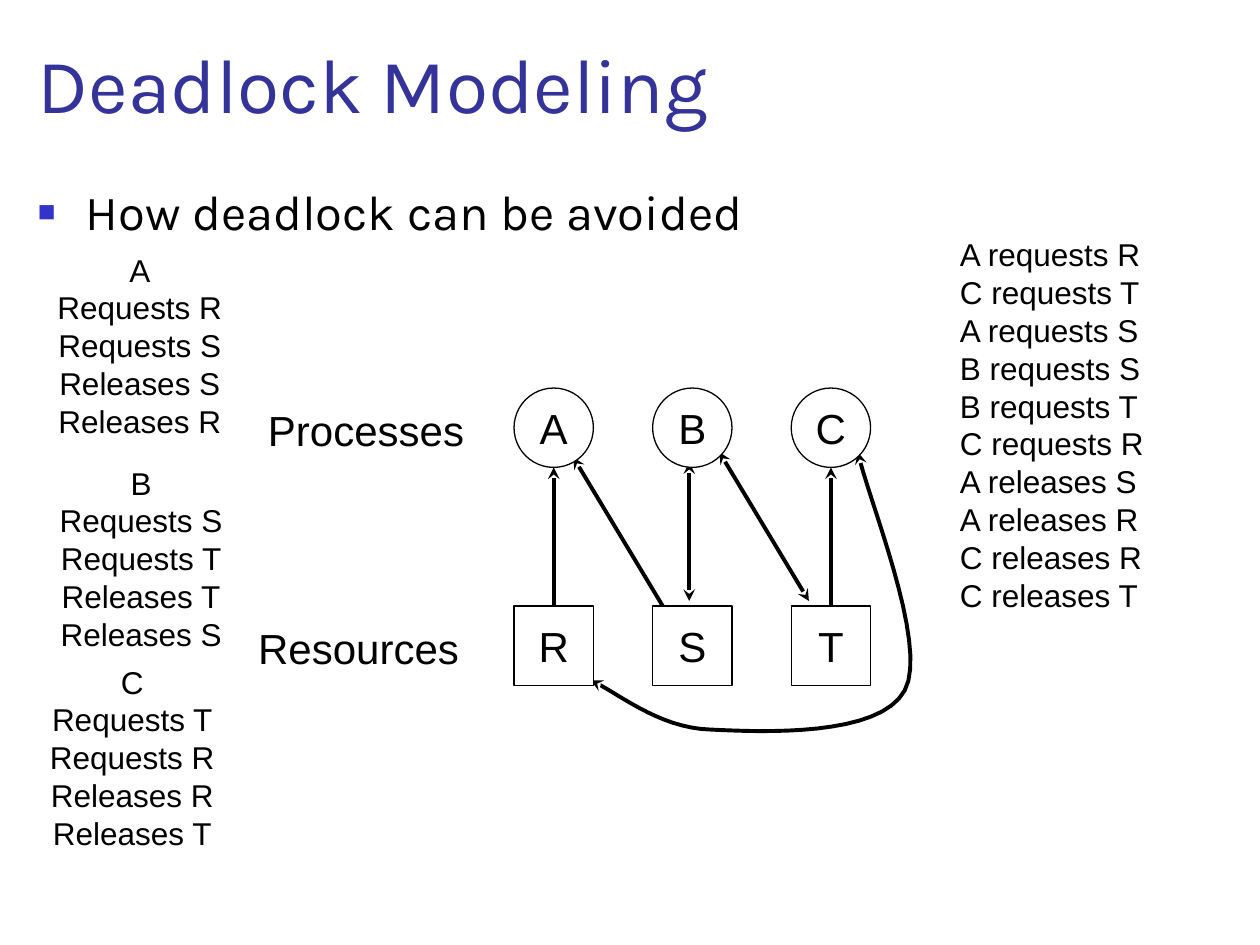
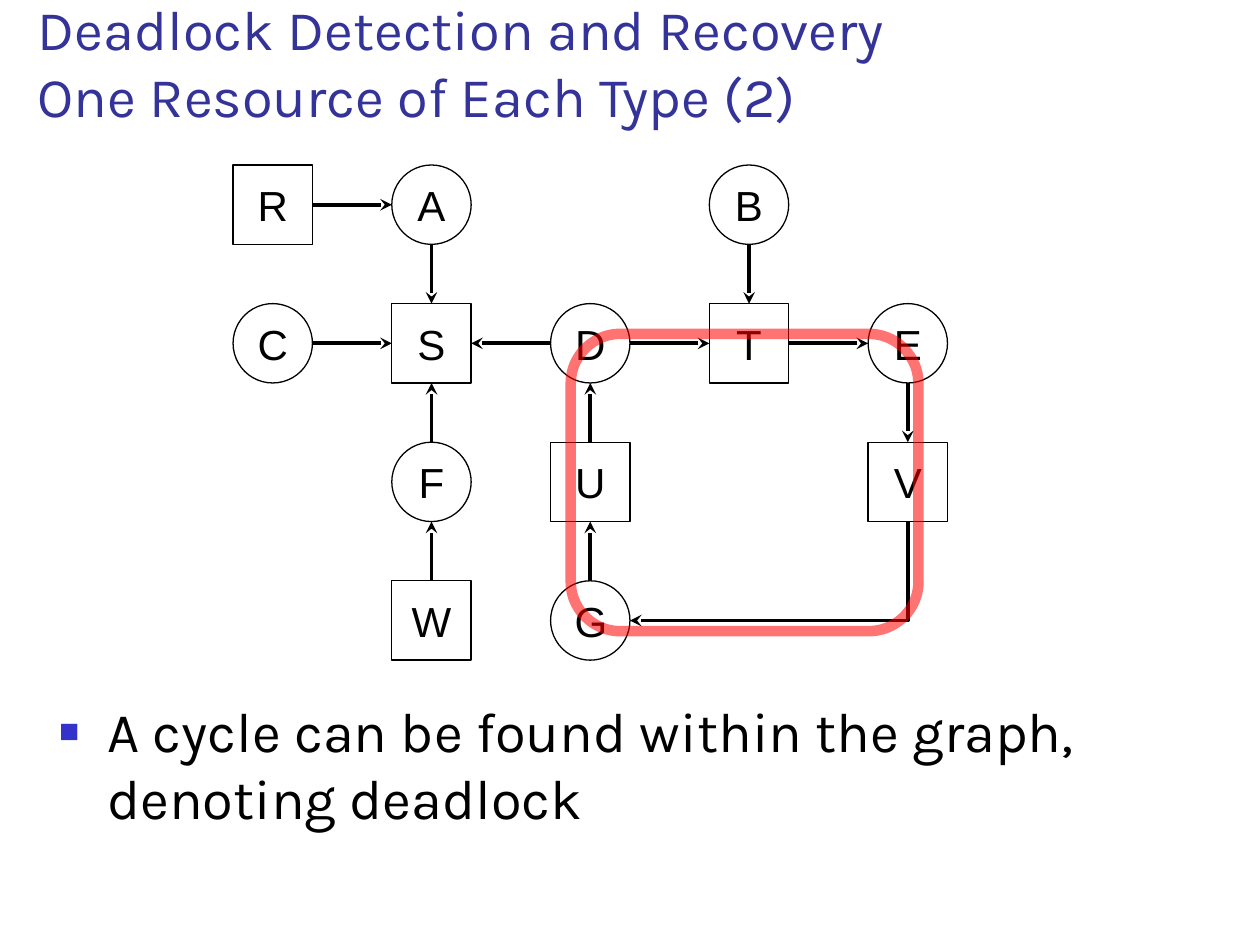
"""Build two slides on deadlock modeling and deadlock detection."""
from copy import deepcopy

from lxml.etree import SubElement
from pptx import Presentation
from pptx.dml.color import RGBColor
from pptx.enum.shapes import MSO_CONNECTOR, MSO_SHAPE
from pptx.enum.text import MSO_ANCHOR, MSO_AUTO_SIZE, PP_ALIGN
from pptx.oxml.ns import qn
from pptx.util import Inches, Pt

BLACK = RGBColor(0x00, 0x00, 0x00)
WHITE = RGBColor(0xFF, 0xFF, 0xFF)
TITLE_BLUE = RGBColor(0x33, 0x33, 0x99)
BULLET_BLUE = RGBColor(0x33, 0x33, 0xCC)
RED = RGBColor(0xFF, 0x00, 0x00)

MODELING = dict(
    title="Deadlock Modeling", title_size=44,
    body="How deadlock can be avoided", body_size=28, body_box=(0.2, 1.39, 9.6, 0.55))
DETECTION = dict(
    title="Deadlock Detection and Recovery\vOne Resource of Each Type (2)", title_size=32,
    body="A cycle can be found within the graph, denoting deadlock",
    body_size=32, body_box=(0.37, 5.48, 9.62, 1.34))

PROCESSES = "ABCDEFG"
NODE = 0.63
MODELING_GRID = dict(rows=["ABC", "RST"], origin=(4.08, 3.08), pitch=(1.1, 1.73))
MODELING_EDGES = ["RA", "TC"]
DETECTION_GRID = dict(rows=["RA.B.", "CSDTE", ".FU.V", ".WG.."],
                      origin=(1.85, 1.31), pitch=(1.26, 1.1))
DETECTION_EDGES = ["RA", "AS", "CS", "DS", "DT", "BT", "TE", "EV", "FS", "WF", "GU", "UD"]

PROGRAMS = [
    ((0.11, 1.94), ["A", "Requests R", "Requests S", "Releases S", "Releases R"]),
    ((0.12, 3.63), ["B", "Requests S", "Requests T", "Releases T", "Releases S"]),
    ((0.05, 5.21), ["C", "Requests T", "Requests R", "Releases R", "Releases T"]),
]
SCHEDULE = ["A requests R", "C requests T", "A requests S", "B requests S", "B requests T",
            "C requests R", "A releases S", "A releases R", "C releases R", "C releases T"]
ROW_LABELS = [("Processes", (1.53, 3.16)), ("Resources", (1.47, 4.89))]

SLANTED_ARROWS = [
    ((5.26, 4.81), (4.55, 3.63), ["tail"]),
    ((5.47, 4.77), (5.47, 3.67), ["head", "tail"]),
    ((5.71, 3.59), (6.42, 4.77), ["head", "tail"]),
]
C_TO_R_CURVE = [(6.81, 3.59),
                (6.87, 3.91), (7.38, 5.12), (7.18, 5.48),
                (6.98, 5.85), (6.05, 5.81), (5.64, 5.79),
                (5.22, 5.78), (4.88, 5.48), (4.69, 5.4)]


def write(tf, lines, size, font="Arial", color=BLACK, align=PP_ALIGN.LEFT,
          anchor=MSO_ANCHOR.TOP, bullet=False):
    """Fill a text frame with one paragraph per line."""
    tf.word_wrap, tf.auto_size, tf.vertical_anchor = True, MSO_AUTO_SIZE.NONE, anchor
    for i, line in enumerate(lines):
        p = tf.add_paragraph() if i else tf.paragraphs[0]
        p.text, p.alignment = line, align
        p.space_before, p.line_spacing = Pt(0), Pt(1.2 * size)
        if bullet:
            add_bullet(p)
        for r in p.runs:
            f = r.font
            f.size, f.name, f.color.rgb = Pt(size), font, color
        for br in p._p.findall(qn("a:br")):
            br.append(deepcopy(p.runs[0].font._element))


def add_bullet(p):
    """Give a paragraph the hanging square bullet."""
    pPr = p._p.get_or_add_pPr()
    pPr.set("marL", str(Inches(0.38)))
    pPr.set("indent", str(-Inches(0.38)))
    SubElement(SubElement(pPr, qn("a:buClr")), qn("a:srgbClr"), val=str(BULLET_BLUE))
    SubElement(pPr, qn("a:buSzPct"), val="60000")
    SubElement(pPr, qn("a:buFont"), typeface="Arial")
    SubElement(pPr, qn("a:buChar"), char="■")


def place(sp, x, y, w, h):
    """Set the box of a shape in inches."""
    sp.left, sp.top, sp.width, sp.height = map(Inches, (x, y, w, h))


def new_slide(prs, title, title_size, body, body_size, body_box):
    """Add a slide with its title and bulleted sentence."""
    s = prs.slides.add_slide(prs.slide_layouts[1])
    place(s.shapes.title, 0.2, 0.23, 9.59, 0.84)
    write(s.shapes.title.text_frame, [title], title_size, font="Karla", color=TITLE_BLUE,
          anchor=MSO_ANCHOR.BOTTOM)
    place(s.placeholders[1], *body_box)
    write(s.placeholders[1].text_frame, [body], body_size, font="Karla", bullet=True)
    return s


def text_box(s, x, y, w, lines, size, **fmt):
    """Add a text box as tall as its lines."""
    h = 0.1 + 1.2 * size * len(lines) / 72
    sp = s.shapes.add_textbox(*map(Inches, (x, y, w, h)))
    write(sp.text_frame, lines, size, **fmt)


def style_line(sp, ends):
    """Draw a thick black line with stealth heads at the given ends."""
    sp.line.width, sp.line.color.rgb = Pt(2.25), BLACK
    for end in ends:
        SubElement(sp.line._get_or_add_ln(), qn(f"a:{end}End"), type="stealth")


def arrow(s, start, end, ends=("tail",)):
    """Add a straight arrow."""
    cx = s.shapes.add_connector(MSO_CONNECTOR.STRAIGHT, *map(Inches, (*start, *end)))
    style_line(cx, ends)
    SubElement(cx._element.spPr, qn("a:effectLst"))
    return cx


def path_arrow(s, points, ends=("tail",)):
    """Add an open arrow through several points."""
    (x0, y0), *rest = [(Inches(x), Inches(y)) for x, y in points]
    fb = s.shapes.build_freeform(x0, y0)
    fb.add_line_segments(rest, close=False)
    sp = fb.convert_to_shape()
    sp.shadow.inherit = False
    sp.fill.background()
    style_line(sp, ends)


def bezier(points, steps=16):
    """Sample a chain of cubic curves."""
    out = [points[0]]
    for i in range(0, len(points) - 1, 3):
        for t in (k / steps for k in range(1, steps + 1)):
            weights = ((1 - t) ** 3, 3 * t * (1 - t) ** 2, 3 * t * t * (1 - t), t ** 3)
            out.append(tuple(sum(w * q[axis] for w, q in zip(weights, points[i:i + 4]))
                             for axis in (0, 1)))
    return out


def add_nodes(s, rows, origin, pitch):
    """Draw processes as circles and resources as squares; return shape and centre by name."""
    nodes = {}
    for row, names in enumerate(rows):
        for col, name in enumerate(names):
            if name == ".":
                continue
            x, y = origin[0] + col * pitch[0], origin[1] + row * pitch[1]
            kind = MSO_SHAPE.OVAL if name in PROCESSES else MSO_SHAPE.RECTANGLE
            sp = s.shapes.add_shape(kind, *map(Inches, (x, y, NODE, NODE)))
            sp.shadow.inherit = False
            sp.fill.solid()
            sp.fill.fore_color.rgb = WHITE
            sp.line.color.rgb, sp.line.width = BLACK, Pt(0.75)
            write(sp.text_frame, [name], 24, align=PP_ALIGN.CENTER, anchor=MSO_ANCHOR.MIDDLE)
            nodes[name] = sp, (x + NODE / 2, y + NODE / 2)
    return nodes


def side_point(centre, side):
    """Return the middle of a node's side: 0 top, 1 left, 2 bottom, 3 right."""
    dx, dy = ((0, -1), (-1, 0), (0, 1), (1, 0))[side]
    return centre[0] + dx * NODE / 2, centre[1] + dy * NODE / 2


def add_edges(s, nodes, edges):
    """Join neighbouring nodes, gluing the arrows to the squares."""
    for a, b in edges:
        (sp_a, at_a), (sp_b, at_b) = nodes[a], nodes[b]
        dx, dy = at_b[0] - at_a[0], at_b[1] - at_a[1]
        side = (3 if dx > 0 else 1) if abs(dx) > abs(dy) else (2 if dy > 0 else 0)
        back = (side + 2) % 4
        cx = arrow(s, side_point(at_a, side), side_point(at_b, back))
        if a not in PROCESSES:
            cx.begin_connect(sp_a, side)
        if b not in PROCESSES:
            cx.end_connect(sp_b, back)


def modeling_slide(prs):
    """Show the requests of three processes and the resulting graph."""
    s = new_slide(prs, **MODELING)
    for start, end, ends in SLANTED_ARROWS:
        arrow(s, start, end, ends)
    path_arrow(s, bezier(C_TO_R_CURVE), ["head", "tail"])
    for (x, y), lines in PROGRAMS:
        text_box(s, x, y, 2, lines, 18, align=PP_ALIGN.CENTER)
    text_box(s, 7.52, 1.82, 2.4, SCHEDULE, 18)
    for label, (x, y) in ROW_LABELS:
        text_box(s, x, y, 2.75, [label], 24, align=PP_ALIGN.CENTER)
    add_edges(s, add_nodes(s, **MODELING_GRID), MODELING_EDGES)


def detection_slide(prs):
    """Show a resource graph with its cycle marked."""
    s = new_slide(prs, **DETECTION)
    nodes = add_nodes(s, **DETECTION_GRID)
    add_edges(s, nodes, DETECTION_EDGES)
    v, g = nodes["V"][1], nodes["G"][1]
    path_arrow(s, [side_point(v, 2), (v[0], g[1]), side_point(g, 3)])

    cycle = s.shapes.add_shape(MSO_SHAPE.ROUNDED_RECTANGLE,
                               *map(Inches, (4.53, 2.65, 2.76, 2.36)))
    cycle.shadow.inherit = False
    cycle.fill.background()
    cycle.line.width, cycle.line.color.rgb = Pt(6), RED
    red = cycle.line._get_or_add_ln().find(".//" + qn("a:srgbClr"))
    SubElement(red, qn("a:alpha"), val="55000")


def main():
    """Build and save the deck."""
    prs = Presentation()
    prs.slide_width, prs.slide_height = Inches(10), Inches(7.5)
    modeling_slide(prs)
    detection_slide(prs)
    prs.save("out.pptx")


if __name__ == "__main__":
    main()
